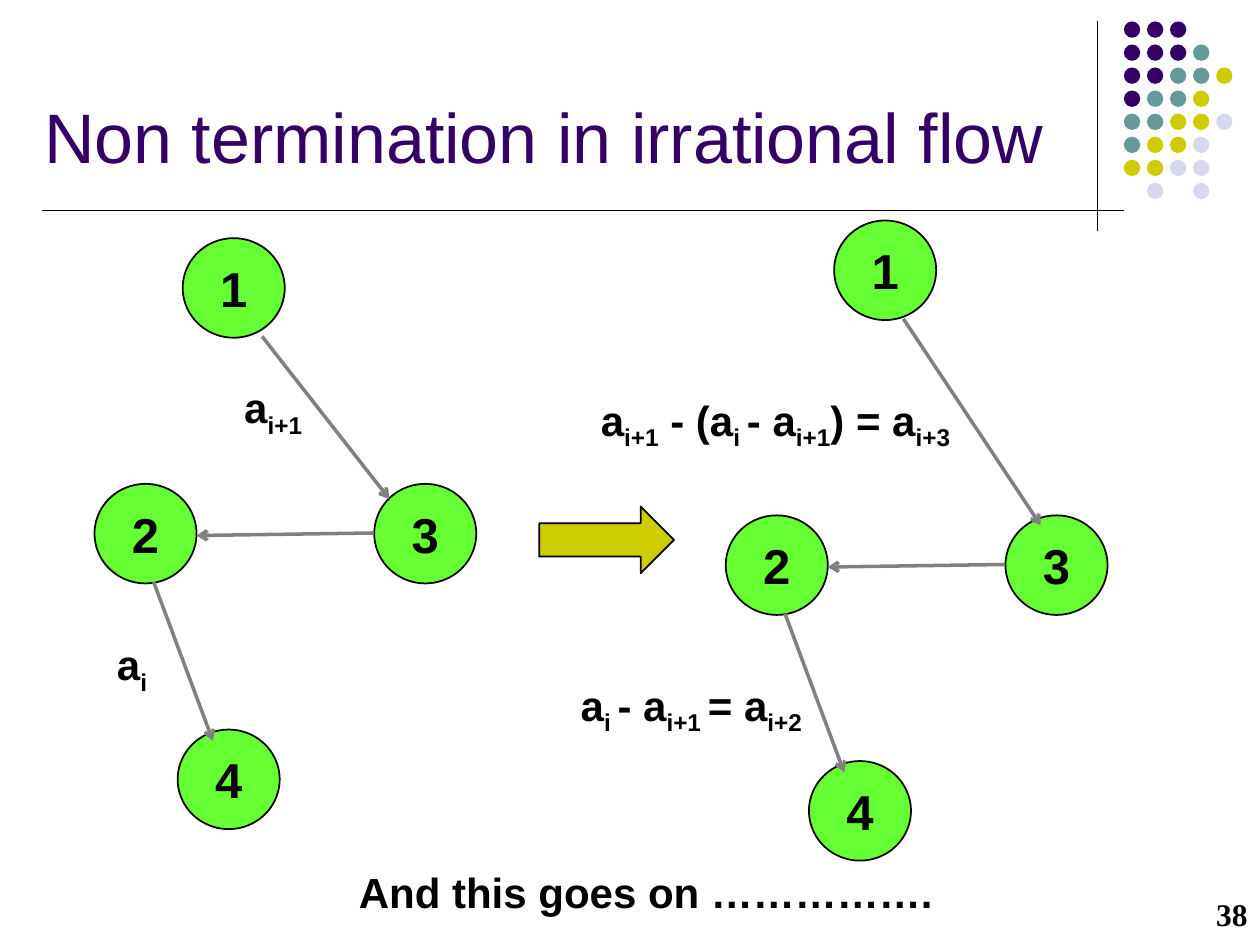
from dataclasses import dataclass
from lxml.etree import SubElement
from pptx import Presentation
from pptx.dml.color import RGBColor
from pptx.enum.shapes import MSO_CONNECTOR, MSO_SHAPE
from pptx.enum.text import MSO_ANCHOR, MSO_AUTO_SIZE, PP_ALIGN
from pptx.oxml.ns import qn
from pptx.util import Inches, Pt


@dataclass(frozen=True)
class Theme:
    """Colours, fonts and type sizes of the slide."""
    ink: str = "000000"
    title: str = "330066"
    node: str = "66FF33"
    edge: str = "808080"
    teal: str = "669999"
    gold: str = "CCCC00"
    pale: str = "D8D8EC"
    sans: str = "Arial"
    serif: str = "Times New Roman"
    head: int = 40
    big: int = 28
    body: int = 24
    small: int = 18


THEME = Theme()


def write(frame, text, size=THEME.body, font=THEME.sans, color=THEME.ink, bold=True,
          align=PP_ALIGN.LEFT, anchor=MSO_ANCHOR.TOP, wrap=True, before=0):
    """Fill a frame with text; parts between underscores are subscripts."""
    frame.word_wrap = wrap
    frame.auto_size = MSO_AUTO_SIZE.NONE
    frame.vertical_anchor = anchor
    frame.margin_left = frame.margin_right = Inches(0.1)
    frame.margin_top = frame.margin_bottom = Inches(0.05)
    para = frame.paragraphs[0]
    para.alignment = align
    para.space_before = Pt(before)
    for index, part in enumerate(text.split("_")):
        if not part:
            continue
        run = para.add_run()
        run.text = part
        run.font.size = Pt(size)
        run.font.name = font
        run.font.bold = bold
        run.font.color.rgb = RGBColor.from_string(color)
        if index % 2:
            run.font._element.set("baseline", "-25000")


class Board:
    """Holds the theme and the current slide."""

    def __init__(self, slide, theme):
        """Keep the slide and its style."""
        self.slide, self.theme = slide, theme

    def title(self, text, *box):
        """Place and format the title."""
        shape = self.slide.shapes.title
        shape.left, shape.top, shape.width, shape.height = map(Inches, box)
        write(shape.text_frame, text, size=self.theme.head, color=self.theme.title,
              bold=False, anchor=MSO_ANCHOR.BOTTOM)

    def label(self, text, *box, **style):
        """Add a text box."""
        shape = self.slide.shapes.add_textbox(*map(Inches, box))
        write(shape.text_frame, text, **style)

    def shape(self, kind, fill, *box, edge=True):
        """Add a filled preset shape, outlined on demand."""
        shape = self.slide.shapes.add_shape(kind, *map(Inches, box))
        shape.shadow.inherit = False
        shape.fill.solid()
        shape.fill.fore_color.rgb = RGBColor.from_string(fill)
        if edge:
            shape.line.color.rgb = RGBColor.from_string(self.theme.ink)
            shape.line.width = Pt(1)
        else:
            shape.line.fill.background()
        return shape

    def node(self, text, left, top):
        """Add a numbered graph node."""
        shape = self.shape(MSO_SHAPE.OVAL, self.theme.node, left, top, 0.81, 0.79)
        write(shape.text_frame, text, size=self.theme.big, align=PP_ALIGN.CENTER,
              anchor=MSO_ANCHOR.MIDDLE, wrap=False)

    def line(self, *ends, color=THEME.ink, width=0.75, arrow=False):
        """Add a straight line, with an arrowhead on demand."""
        line = self.slide.shapes.add_connector(MSO_CONNECTOR.STRAIGHT, *map(Inches, ends))
        line.line.color.rgb = RGBColor.from_string(color)
        line.line.width = Pt(width)
        if arrow:
            SubElement(line.line._get_or_add_ln(), qn("a:tailEnd"), type="arrow")
        SubElement(line._element.spPr, qn("a:effectLst"))

    def dots(self, rows, left, top, step, size):
        """Add a grid of dots, one letter for each colour."""
        look = self.theme
        fills = {"v": look.title, "t": look.teal, "g": look.gold, "p": look.pale}
        for row, marks in enumerate(rows):
            for col, mark in enumerate(marks):
                if mark in fills:
                    self.shape(MSO_SHAPE.OVAL, fills[mark], left + col * step,
                               top + row * step, size, size, edge=False)

    def graph(self, nodes, edges, right=0, down=0):
        """Add the nodes and arrows of a graph, shifted as a whole."""
        for text, (left, top) in nodes.items():
            self.node(text, left + right, top + down)
        for x1, y1, x2, y2 in edges:
            self.line(x1 + right, y1 + down, x2 + right, y2 + down,
                      color=self.theme.edge, width=2, arrow=True)


def main():
    """Build and save the slide."""
    deck = Presentation()
    deck.slide_width, deck.slide_height = Inches(10), Inches(7.5)
    board = Board(deck.slides.add_slide(deck.slide_layouts[5]), THEME)

    board.line(8.71, 0.17, 8.71, 1.83)
    board.dots(["vvv", "vvvt", "vvttg", "vttg", "ttggp", "tggp", "ggpp", ".p.p"],
               8.92, 0.17, 0.183, 0.13)
    board.line(0.33, 1.67, 8.92, 1.67)
    board.title("Non termination in irrational flow", 0.25, 0.58, 8.42, 0.88)
    board.label("38", 8.08, 7, 1.92, 0.5, size=THEME.small, font=THEME.serif,
                align=PP_ALIGN.RIGHT, anchor=MSO_ANCHOR.MIDDLE)

    nodes = {"3": (2.97, 3.84), "4": (1.41, 5.79), "2": (0.75, 3.84)}
    edges = [(2.97, 4.23, 1.56, 4.25), (1.22, 4.62, 1.69, 5.88)]
    board.graph(nodes, edges)
    board.graph(nodes, edges, right=5.01, down=0.25)
    board.graph({"1": (1.45, 1.89)}, [(2.08, 2.67, 3.09, 3.96)])
    board.graph({"1": (6.62, 1.75)}, [(7.17, 2.53, 8.26, 4.17)])
    board.shape(MSO_SHAPE.RIGHT_ARROW, THEME.gold, 4.28, 4.02, 1.07, 0.53)

    labels = [
        ("a_i_", 0.83, 5.02, 1.56, 0.56),
        ("a_i+1_", 1.84, 2.98, 1.56, 0.56),
        ("a_i _- a_i+1 _= a_i+2_", 4.51, 5.34, 3.05, 0.56),
        ("a_i+1_ - (a_i _- a_i+1_) = a_i+3_", 4.67, 3.08, 3.52, 0.56),
        ("And this goes on …………….", 2.75, 6.83, 6.67, 0.5),
    ]
    for text, *box in labels:
        board.label(text, *box, before=15)

    deck.save("out.pptx")


main()
